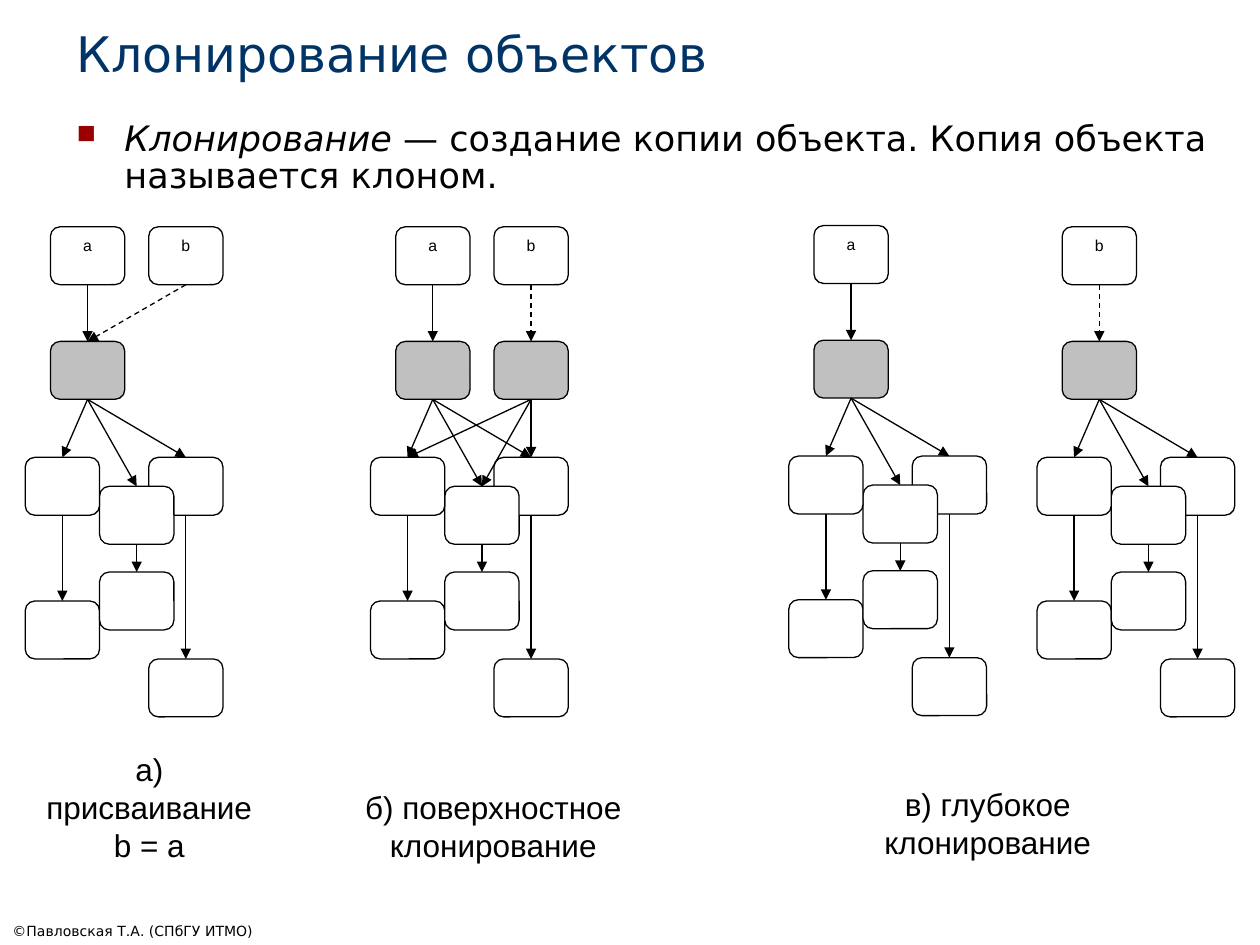
from dataclasses import dataclass
from typing import NamedTuple

from lxml import etree
from pptx import Presentation
from pptx.dml.color import RGBColor
from pptx.enum import dml, shapes, text
from pptx.oxml import ns
from pptx.util import Inches, Pt


@dataclass(frozen=True)
class Theme:
    ink: str = "000000"
    head: str = "003366"
    mark: str = "9A0000"
    white: str = "FFFFFF"
    grey: str = "C0C0C0"
    sans: str = "DejaVu Sans"
    plain: str = "Arial"
    title: float = 28
    body: float = 20
    label: float = 18
    ref: float = 9
    foot: float = 8
    rule: float = 0.75


class Spot(NamedTuple):
    x: float
    y: float


class Area(NamedTuple):
    left: float
    top: float
    width: float
    height: float


class Piece(NamedTuple):
    words: str
    size: float
    slant: bool = False


class Panel(NamedTuple):
    area: Area
    lines: list[list[Piece]]


THEME = Theme()
BOX_W, BOX_H = 0.59, 0.46
STEP = 0.78

# Boxes of one object tree, measured from its reference box
REF = Spot(0, 0)
CORE = Spot(0, 0.91)
LEFT, MID, RIGHT = Spot(-0.2, 1.83), Spot(0.39, 2.06), Spot(STEP, 1.83)
LEAVES = {LEFT: Spot(-0.2, 2.97), MID: Spot(0.39, 2.74), RIGHT: Spot(STEP, 3.43)}
REF_B, CORE_B = Spot(STEP, REF.y), Spot(STEP, CORE.y)


def color(code: str) -> RGBColor:
    return RGBColor.from_string(code)


def place(area: Area) -> list:
    return [Inches(side) for side in area]


def write(frame, lines: list[list[Piece]], font: str, ink: str, align=None) -> None:
    """Fill a text frame, one list of pieces for each paragraph."""
    frame.word_wrap = True
    for at, pieces in enumerate(lines):
        para = frame.paragraphs[0] if at == 0 else frame.add_paragraph()
        para.alignment = align
        for piece in pieces:
            run = para.add_run()
            run.text = piece.words
            run.font.name, run.font.size = font, Pt(piece.size)
            run.font.italic = piece.slant
            run.font.color.rgb = color(ink)


def add_text(slide, area: Area, pieces: list[Piece], ink: str, anchor):
    frame = slide.shapes.add_textbox(*place(area)).text_frame
    frame.vertical_anchor = anchor
    write(frame, [pieces], THEME.sans, ink)
    return frame.paragraphs[0]


def add_round(group, area: Area):
    shape = group.shapes.add_shape(shapes.MSO_SHAPE.ROUNDED_RECTANGLE, *place(area))
    shape.adjustments[0] = 0.167
    shape.shadow.inherit = False
    shape.text_frame.vertical_anchor = text.MSO_ANCHOR.TOP
    return shape


def add_box(group, base: Spot, spot: Spot, fill: str = THEME.white, name: str = "") -> None:
    shape = add_round(group, Area(base.x + spot.x, base.y + spot.y, BOX_W, BOX_H))
    shape.fill.solid()
    shape.fill.fore_color.rgb = color(fill)
    shape.line.color.rgb = color(THEME.ink)
    shape.line.width = Pt(THEME.rule)
    if name:
        write(shape.text_frame, [[Piece(name, THEME.ref)]], THEME.plain, THEME.ink,
              text.PP_ALIGN.CENTER)


def link(group, base: Spot, start: Spot, end: Spot, dashed: bool = False) -> None:
    """Arrow from the bottom of one box to the top of another."""
    mid = base.x + BOX_W / 2
    line = group.shapes.add_connector(
        shapes.MSO_CONNECTOR.STRAIGHT,
        Inches(mid + start.x), Inches(base.y + start.y + BOX_H),
        Inches(mid + end.x), Inches(base.y + end.y))
    line.line.color.rgb = color(THEME.ink)
    line.line.width = Pt(THEME.rule)
    if dashed:
        line.line.dash_style = dml.MSO_LINE.DASH
    etree.SubElement(line.line._get_or_add_ln(), ns.qn("a:tailEnd"), type="triangle")
    etree.SubElement(line._element.spPr, ns.qn("a:effectLst"))


def add_tree(group, base: Spot, name: str, dashed: bool = False) -> None:
    add_box(group, base, REF, name=name)
    add_box(group, base, CORE, THEME.grey)
    for spot in (RIGHT, *LEAVES.values()):
        add_box(group, base, spot)
    link(group, base, REF, CORE, dashed)
    for child, leaf in LEAVES.items():
        link(group, base, CORE, child)
        link(group, base, child, leaf)
    for spot in (MID, LEFT):
        add_box(group, base, spot)


def add_panel(slide, panel: Panel):
    group = slide.shapes.add_group_shape()
    label = add_round(group, panel.area)
    label.fill.background()
    label.line.fill.background()
    write(label.text_frame, panel.lines, THEME.plain, THEME.ink, text.PP_ALIGN.CENTER)
    return group


def add_bullet(para) -> None:
    props = para._p.get_or_add_pPr()
    props.set("marL", str(Inches(0.38)))
    props.set("indent", str(-Inches(0.38)))
    tint = etree.SubElement(props, ns.qn("a:buClr"))
    etree.SubElement(tint, ns.qn("a:srgbClr"), val=THEME.mark)
    etree.SubElement(props, ns.qn("a:buSzPct"), val="75000")
    etree.SubElement(props, ns.qn("a:buChar"), char="■")


def main() -> None:
    deck = Presentation()
    deck.slide_width, deck.slide_height = Inches(10), Inches(7.5)
    slide = deck.slides.add_slide(deck.slide_layouts[6])

    # Title, definition and footer
    add_text(slide, Area(0.51, 0.13, 9.37, 0.57),
             [Piece("Клонирование объектов", THEME.title)], THEME.head, text.MSO_ANCHOR.BOTTOM)
    para = add_text(slide, Area(0.51, 0.91, 9.36, 0.71), [
        Piece("Клонирование", THEME.body, True),
        Piece(" — создание копии объекта. Копия объекта называется клоном.", THEME.body),
    ], THEME.ink, text.MSO_ANCHOR.TOP)
    add_bullet(para)
    para.line_spacing = 0.9
    add_text(slide, Area(0, 7.22, 3.11, 0.28),
             [Piece("©Павловская Т.А. (СПбГУ ИТМО)", THEME.foot)], THEME.ink,
             text.MSO_ANCHOR.BOTTOM)

    # Assignment: both references share one object
    group = add_panel(slide, Panel(Area(0.2, 5.85, 1.97, 1.16), [
        [Piece("a) присваивание", THEME.label)], [Piece("b = a", THEME.label)]]))
    base = Spot(0.4, 1.8)
    add_tree(group, base, "a")
    add_box(group, base, REF_B, name="b")
    link(group, base, REF_B, CORE, dashed=True)

    # Shallow clone: two objects share their children
    group = add_panel(slide, Panel(Area(2.74, 6.13, 2.35, 0.92), [
        [Piece("б) поверхностное", THEME.label), Piece(" ", THEME.body),
         Piece("клонирование", THEME.label)]]))
    base = Spot(3.14, 1.8)
    add_tree(group, base, "a")
    add_box(group, base, REF_B, name="b")
    add_box(group, base, CORE_B, THEME.grey)
    link(group, base, REF_B, CORE_B, dashed=True)
    for child in LEAVES:
        link(group, base, CORE_B, child)

    # Deep clone: two separate trees
    group = add_panel(slide, Panel(Area(6.86, 6.14, 1.96, 0.9), [
        [Piece("в) глубокое клонирование", THEME.label)]]))
    add_tree(group, Spot(6.46, 1.79), "a")
    add_tree(group, Spot(8.43, 1.8), "b", dashed=True)

    deck.save("out.pptx")


if __name__ == "__main__":
    main()
